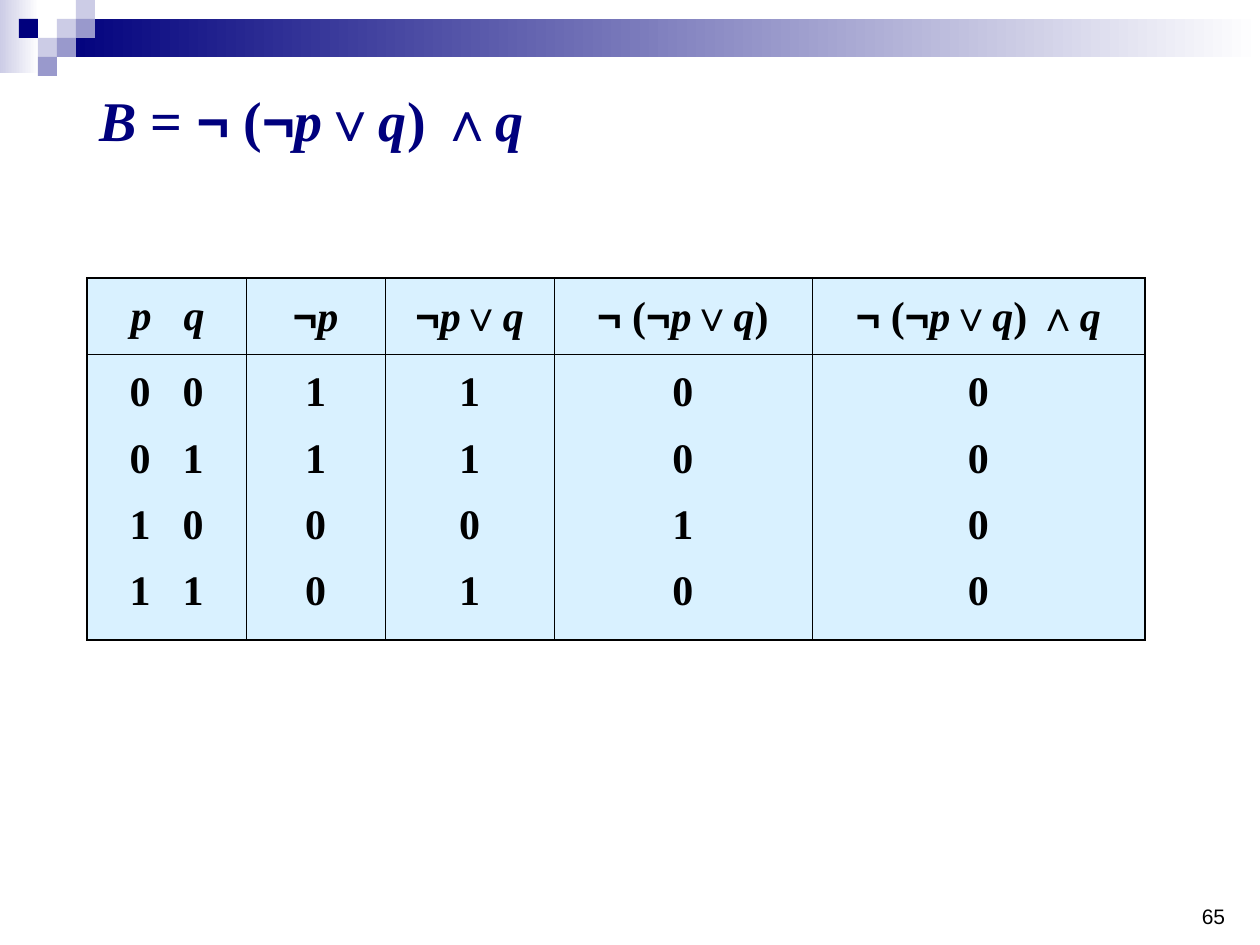
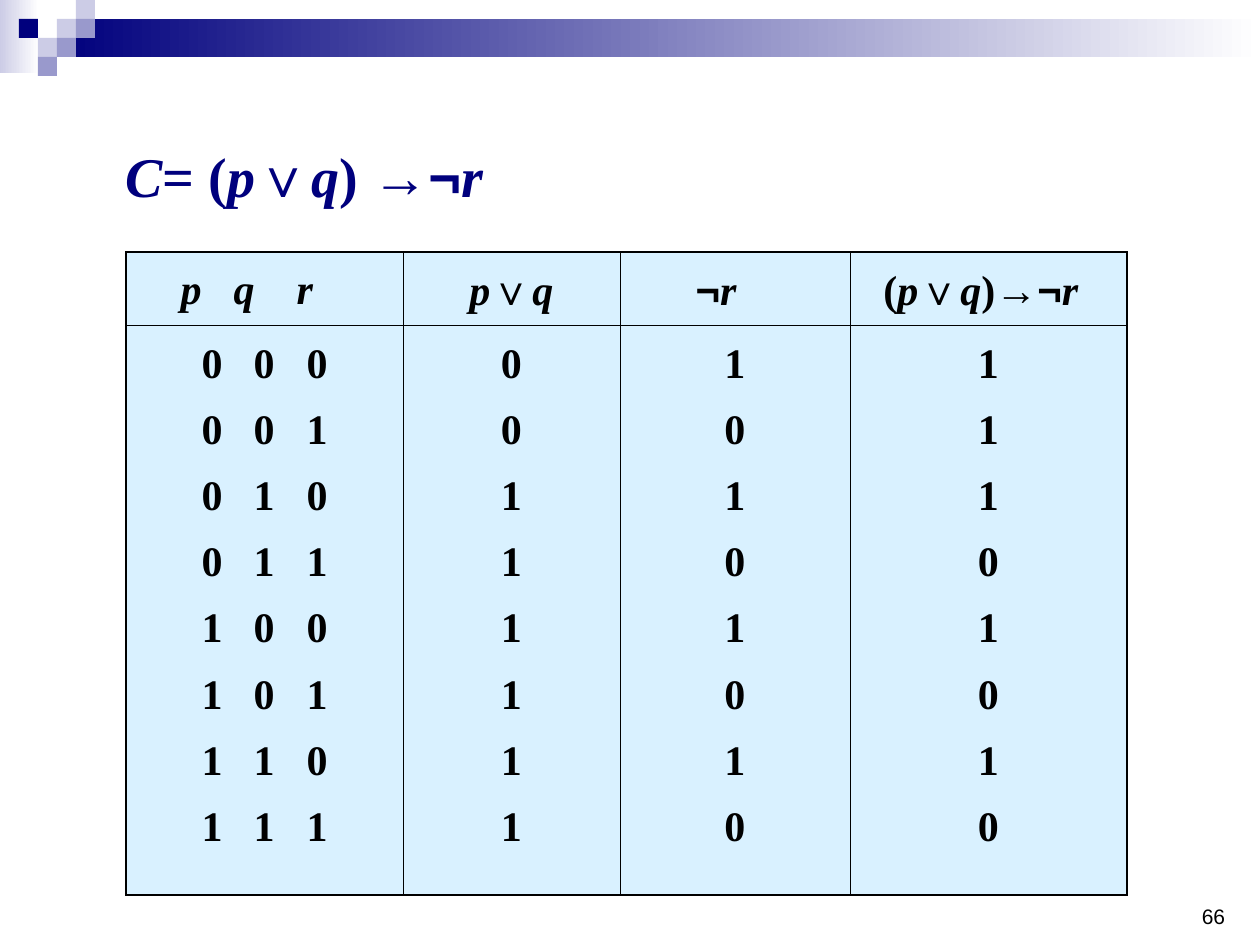
from itertools import groupby

from lxml.etree import SubElement
from pptx import Presentation
from pptx.dml.color import RGBColor
from pptx.enum.shapes import MSO_SHAPE as Shape
from pptx.enum.text import MSO_ANCHOR as Anchor, PP_ALIGN as Align
from pptx.oxml.ns import qn
from pptx.util import Pt

EMU_PER_PX = 914400 / 126
NAVY, LILAC, LAVENDER = "00007D", "9999CC", "CCCCE6"
WHITE, BLACK, CELL_BLUE = "FFFFFF", "000000", "D9F1FF"
SERIF, SANS = "Times New Roman", "Arial"
OUTER_LINE, INNER_LINE = Pt(1.08), Pt(0.45)
SQUARE = 19
SQUARES = [(3, 1, LAVENDER), (4, 0, LAVENDER), (4, 1, LILAC), (2, 2, LAVENDER),
           (1, 1, NAVY), (3, 2, LILAC), (2, 3, LILAC)]


def px(length):
    return round(length * EMU_PER_PX)


def color(hex_string):
    return RGBColor.from_string(hex_string)


def add_rectangle(slide, box, *colors):
    """Fill with one colour, or with a left-to-right gradient of two."""
    shape = slide.shapes.add_shape(Shape.RECTANGLE, *map(px, box))
    shape.shadow.inherit = False
    shape.line.fill.background()
    if len(colors) == 1:
        shape.fill.solid()
        shape.fill.fore_color.rgb = color(colors[0])
    else:
        shape.fill.gradient()
        shape.fill.gradient_angle = 0
        for stop, stop_color in zip(shape.fill.gradient_stops, colors):
            stop.color.rgb = color(stop_color)


def add_band(slide):
    add_rectangle(slide, (0, 0, 39, 73), LAVENDER, WHITE)
    add_rectangle(slide, (57, 19, 1203, 38), NAVY, WHITE)
    for column, row, square_color in SQUARES:
        box = (column * SQUARE, row * SQUARE, SQUARE, SQUARE)
        add_rectangle(slide, box, square_color)


def character_style(character):
    """Return the font name and whether the character is italic."""
    if character in "¬∨∧→":
        return SANS, False
    return SERIF, character.isalpha()


def write_formula(paragraph, formula, size, text_color):
    font = paragraph.font
    font.size, font.bold = Pt(size), True
    font.color.rgb = color(text_color)
    for (name, italic), characters in groupby(formula, character_style):
        run = paragraph.add_run()
        run.text = "".join(characters)
        run.font.name, run.font.italic = name, italic


def add_title(slide, box, formula):
    frame = slide.shapes.add_textbox(*map(px, box)).text_frame
    frame.word_wrap = True
    write_formula(frame.paragraphs[0], formula, 32, NAVY)


def add_page_number(slide, number):
    frame = slide.shapes.add_textbox(*map(px, (1187, 903, 53, 32))).text_frame
    frame.word_wrap = True
    frame.vertical_anchor = Anchor.BOTTOM
    paragraph = frame.paragraphs[0]
    paragraph.text = str(number)
    paragraph.alignment = Align.CENTER
    font = paragraph.font
    font.name, font.size = SANS, Pt(12)
    font.color.rgb = color(BLACK)


def set_tab_stops(paragraph, stops):
    tab_list = SubElement(paragraph._p.get_or_add_pPr(), qn("a:tabLst"))
    for stop in stops:
        SubElement(tab_list, qn("a:tab"), pos=str(px(stop)), algn="l")


def set_borders(cell, widths):
    """Take the widths of the left, right, top and bottom lines."""
    properties = cell._tc.get_or_add_tcPr()
    for side, width in zip("LRTB", widths):
        line = SubElement(properties, qn(f"a:ln{side}"), w=str(width))
        line_fill = SubElement(line, qn("a:solidFill"))
        SubElement(line_fill, qn("a:srgbClr"), val=BLACK)


def fill_cell(cell, lines, stops=(), indent=None):
    """Lines are centred unless tab stops or an indent place them."""
    frame = cell.text_frame
    for index, line in enumerate(lines):
        paragraph = frame.add_paragraph() if index else frame.paragraphs[0]
        paragraph.line_spacing = 1.2
        paragraph.space_before = Pt(6 if index else 0)
        if stops:
            set_tab_stops(paragraph, stops)
        elif indent:
            paragraph._p.get_or_add_pPr().set("marL", str(px(indent)))
        else:
            paragraph.alignment = Align.CENTER
        write_formula(paragraph, line, 24, BLACK)


def add_truth_table(slide, left, top, widths, heights, variables, header_stops,
                    value_stops, results, indents):
    """Results map each formula to its column of values, one digit a row."""
    box = (left, top, sum(widths), sum(heights))
    table = slide.shapes.add_table(2, len(widths), *map(px, box)).table
    table.first_row = table.horz_banding = False
    for column, width in zip(table.columns, widths):
        column.width = px(width)
    for row, height in zip(table.rows, heights):
        row.height = px(height)

    def tabbed(characters):
        return "".join("\t" + character for character in characters)

    count = len(variables)
    inputs = [tabbed(f"{number:0{count}b}") for number in range(2 ** count)]
    fill_cell(table.cell(0, 0), [tabbed(variables)], header_stops)
    fill_cell(table.cell(1, 0), inputs, value_stops)
    for column, (formula, values) in enumerate(results.items(), 1):
        fill_cell(table.cell(0, column), [formula], indent=indents.get(formula))
        fill_cell(table.cell(1, column), values)

    last = len(widths) - 1
    for row in range(2):
        for column in range(len(widths)):
            cell = table.cell(row, column)
            on_edge = (column == 0, column == last, row == 0, row == 1)
            set_borders(cell, [OUTER_LINE if edge else INNER_LINE for edge in on_edge])
            cell.fill.solid()
            cell.fill.fore_color.rgb = color(CELL_BLUE)


def add_formula_slide(presentation, number, title_box, title, **table):
    slide = presentation.slides.add_slide(presentation.slide_layouts[6])
    add_band(slide)
    add_page_number(slide, number)
    add_title(slide, title_box, title)
    add_truth_table(slide, **table)


def main():
    presentation = Presentation()
    presentation.slide_width, presentation.slide_height = px(1260), px(945)
    add_formula_slide(
        presentation, 65, (87, 79, 983, 81), "B = ¬ (¬p∨q) ∧q",
        left=87, top=278, widths=(159, 139, 169, 258, 333), heights=(76, 286),
        variables="pq", header_stops=(31, 84), value_stops=(30, 83),
        results={"¬p": "1100", "¬p∨q": "1101", "¬ (¬p∨q)": "0010",
                 "¬ (¬p∨q) ∧q": "0000"},
        indents={})
    add_formula_slide(
        presentation, 66, (113, 135, 1052, 81), "C= (p∨q) →¬r",
        left=126, top=252, widths=(277, 217, 230, 277), heights=(73, 570),
        variables="pqr", header_stops=(42, 95, 158), value_stops=(63, 115, 168),
        results={"p∨q": "00111111", "¬r": "10101010", "(p∨q)→¬r": "11101010"},
        indents={"¬r": 63, "(p∨q)→¬r": 21})
    presentation.save("out.pptx")


if __name__ == "__main__":
    main()
